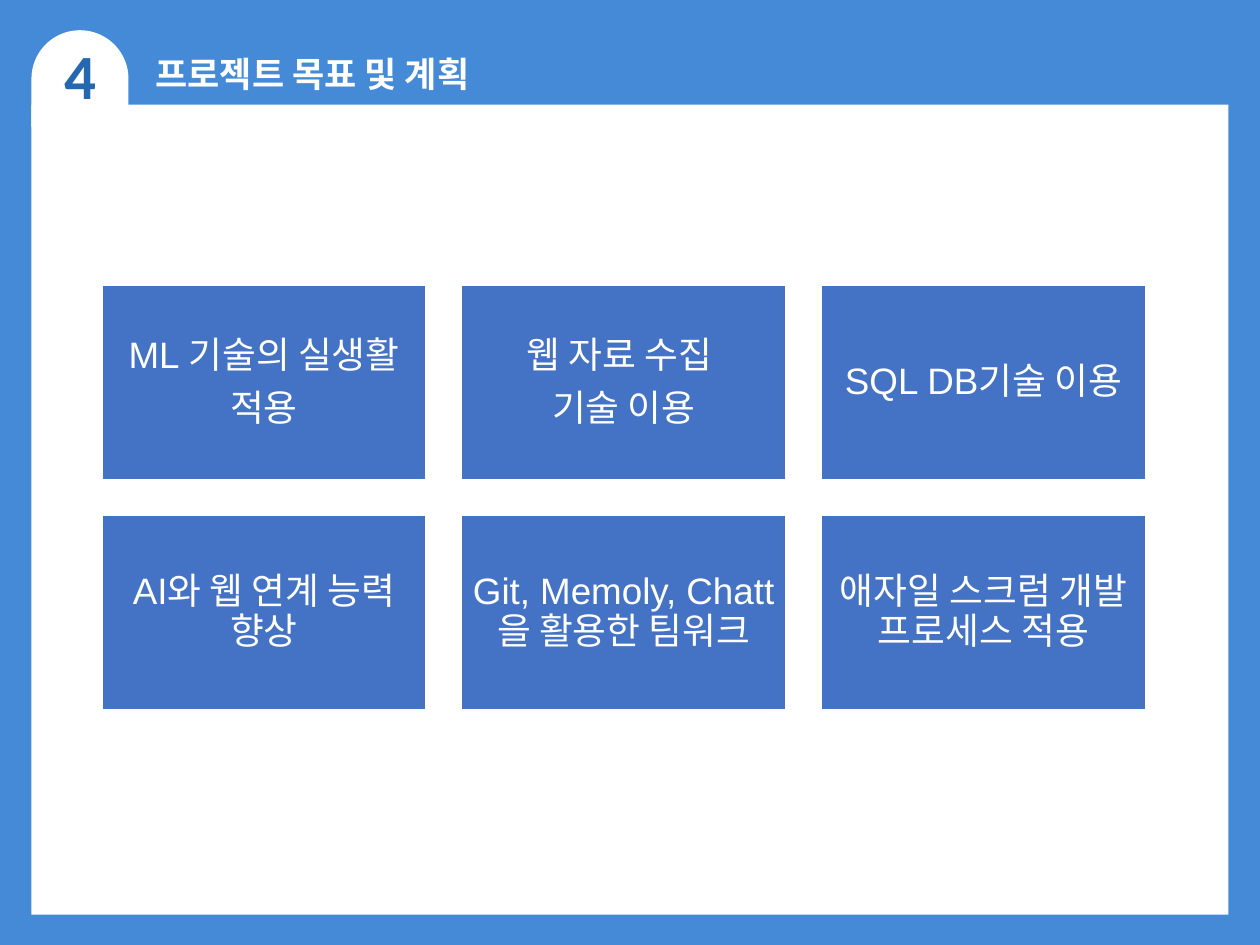
from pptx import Presentation
from pptx.dml.color import RGBColor
from pptx.enum.shapes import MSO_SHAPE
from pptx.enum.text import MSO_ANCHOR, PP_ALIGN
from pptx.util import Inches, Pt

RECT = MSO_SHAPE.RECTANGLE
DELAY = MSO_SHAPE.FLOWCHART_DELAY
CENTER = PP_ALIGN.CENTER
MIDDLE = MSO_ANCHOR.MIDDLE
BLUE, WHITE, NAVY, CARD = "448AD7", "FFFFFF", "2668B0", "4472C4"


def color(code):
    return RGBColor.from_string(code)


def block(kind, x, y, w, h, fill):
    shape = slide.shapes.add_shape(kind, Inches(x), Inches(y), Inches(w), Inches(h))
    shape.shadow.inherit = False
    shape.fill.solid()
    shape.fill.fore_color.rgb = color(fill)
    shape.line.fill.background()
    return shape


prs = Presentation()
prs.slide_width, prs.slide_height = Inches(10), Inches(7.5)
slide = prs.slides.add_slide(prs.slide_layouts[6])

# Frame, number tab and white page
block(RECT, 0, 0, 10, 7.5, BLUE)
tab = block(DELAY, 0.25, 0.24, 0.77, 0.77, WHITE)
tab.rotation = 270
block(RECT, 0.25, 0.83, 9.5, 6.43, WHITE)

# Section number and title
heads = [
    ("4", 0.29, 0.24, 0.69, 0.71, 36, NAVY),
    ("프로젝트 목표 및 계획", 0.98, 0.37, 3, 0.44, 20, WHITE),
]
for text, x, y, w, h, size, ink in heads:
    box = slide.shapes.add_textbox(Inches(x), Inches(y), Inches(w), Inches(h))
    box.text_frame.word_wrap = True
    para = box.text_frame.paragraphs[0]
    para.alignment = CENTER
    run = para.add_run()
    run.text = text
    run.font.name, run.font.size, run.font.bold = "Calibri", Pt(size), True
    run.font.color.rgb = color(ink)

# Goal cards, three to a row
goals = [
    ["ML 기술의 실생활", "적용"],
    ["웹 자료 수집 ", "기술 이용"],
    ["SQL DB기술 이용"],
    ["AI와 웹 연계 능력 향상"],
    ["Git, Memoly, Chatt을 활용한 팀워크"],
    ["애자일 스크럼 개발 프로세스 적용"],
]
for i, lines in enumerate(goals):
    row, col = divmod(i, 3)
    card = block(RECT, 0.8 + col * 2.855, 2.26 + row * 1.82, 2.59, 1.56, CARD)
    card.line.color.rgb = color(WHITE)
    card.line.width = Pt(2)
    frame = card.text_frame
    frame.word_wrap = True
    frame.vertical_anchor = MIDDLE
    frame.margin_left = frame.margin_right = Inches(0.09)
    frame.margin_top = frame.margin_bottom = Inches(0.09)
    for j, line in enumerate(lines):
        para = frame.add_paragraph() if j else frame.paragraphs[0]
        para.alignment = CENTER
        para.line_spacing = 0.9
        para.space_after = Pt(7.35)
        run = para.add_run()
        run.text = line
        run.font.name, run.font.size = "Arial", Pt(21)
        run.font.color.rgb = color(WHITE)

prs.save("out.pptx")
